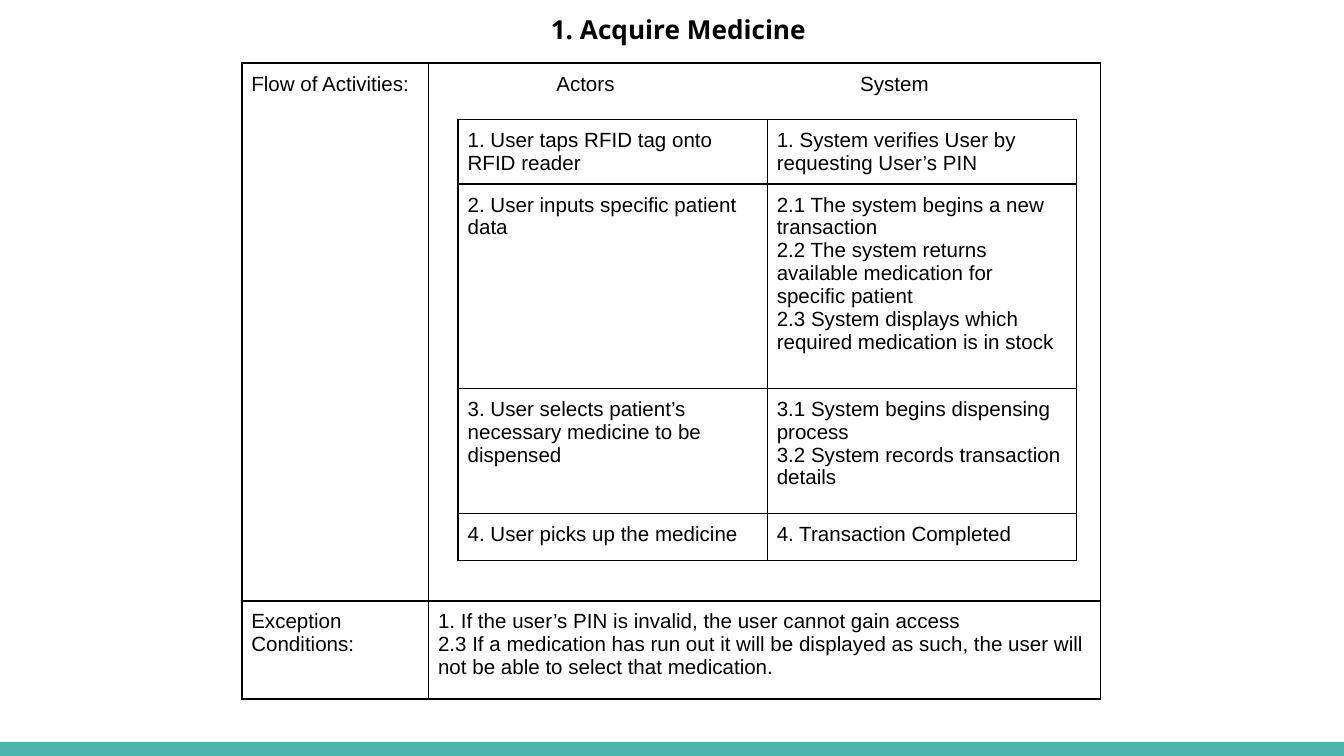
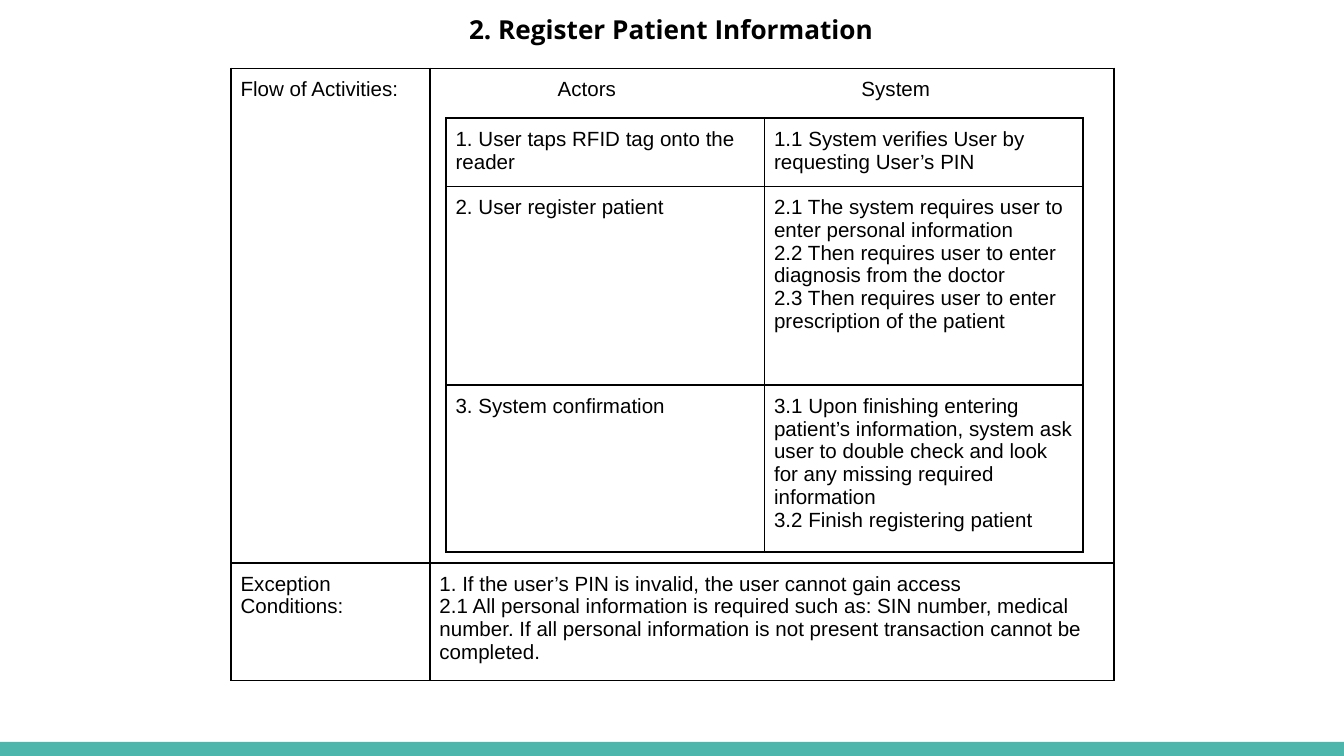
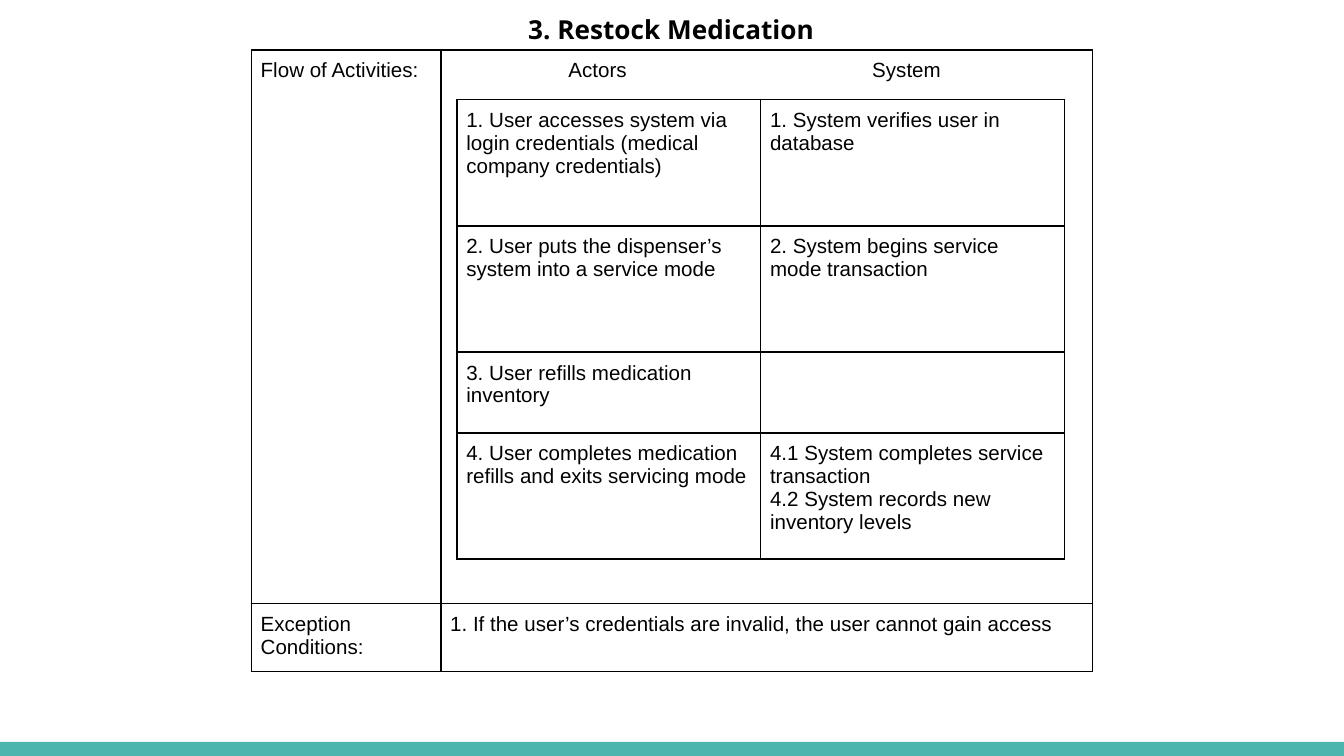
from lxml import etree
from pptx import Presentation
from pptx import util as u
from pptx.dml.color import RGBColor
from pptx.enum import shapes, text
from pptx.oxml import ns

COLOURS = {"ink": "000000", "band": "4DB6AC"}
BODY_FONT, BODY_SIZE = "Arial", 11
TITLE_FONT, TITLE_SIZE = "Open Sans", 14
CELL_INSET = 0.07
BORDER_WIDTH = 1
TABLE_FRAME = 3.28
HEADER = "\tActors\tSystem"
HEADER_STOPS = (0.88, 3.14)

USE_CASES = [
    {
        "title": "1. Acquire Medicine",
        "title_place": (3.5, 2.99),
        "title_indent": 0.5,
        "outline": {"at": (1.8, 0.47), "cols": (1.39, 5), "rows": (4, 0.73)},
        "flow": {"at": (3.41, 0.89), "cols": (2.3, 2.3), "rows": (0.33, 1.52, 0.93, 0.35)},
        "steps": [
            ("1. User taps RFID tag onto RFID reader",
             "1. System verifies User by requesting User’s PIN"),
            ("2. User inputs specific patient data",
             "2.1 The system begins a new transaction\n"
             "2.2 The system returns available medication for specific patient\n"
             "2.3 System displays which required medication is in stock"),
            ("3. User selects patient’s necessary medicine to be dispensed",
             "3.1 System begins dispensing process\n"
             "3.2 System records transaction details"),
            ("4. User picks up the medicine", "4. Transaction Completed"),
        ],
        "exceptions": "1. If the user’s PIN is invalid, the user cannot gain access\n"
                      "2.3 If a medication has run out it will be displayed as such, "
                      "the user will not be able to select that medication.",
    },
    {
        "title": "2. Register Patient Information",
        "title_place": (3.08, 3.83),
        "outline": {"at": (1.72, 0.51), "cols": (1.48, 5.09), "rows": (3.68, 0.83)},
        "flow": {"at": (3.32, 0.88), "cols": (2.37, 2.37), "rows": (0.47, 1.48, 1.14)},
        "steps": [
            ("1. User taps RFID tag onto the reader",
             "1.1 System verifies User by requesting User’s PIN"),
            ("2. User register patient",
             "2.1 The system requires user to enter personal information\n"
             "2.2 Then requires user to enter diagnosis from the doctor\n"
             "2.3 Then requires user to enter prescription of the patient"),
            ("3. System confirmation",
             "3.1 Upon finishing entering patient’s information, system ask user to "
             "double check and look for any missing required information\n"
             "3.2 Finish registering patient"),
        ],
        "exceptions": "1. If the user’s PIN is invalid, the user cannot gain access\n"
                      "2.1 All personal information is required such as: SIN number, "
                      "medical number. If all personal information is not present "
                      "transaction cannot be completed.",
    },
    {
        "title": "3. Restock Medication",
        "title_place": (3.08, 3.83),
        "flow_behind": True,
        "outline": {"at": (1.87, 0.37), "cols": (1.41, 4.85), "rows": (4.12, 0.01)},
        "flow": {"at": (3.4, 0.74), "cols": (2.26, 2.26), "rows": (0.94, 0.94, 0.6, 0.94)},
        "steps": [
            ("1. User accesses system via login credentials (medical company credentials)",
             "1. System verifies user in database"),
            ("2. User puts the dispenser’s system into a service mode",
             "2. System begins service mode transaction"),
            ("3. User refills medication inventory", ""),
            ("4. User completes medication refills and exits servicing mode",
             "4.1 System completes service transaction\n"
             "4.2 System records new inventory levels"),
        ],
        "exceptions": "1. If the user’s credentials are invalid, the user cannot gain access",
    },
]


def colour(name):
    return RGBColor.from_string(COLOURS[name])


def add_borders(cell):
    properties = cell._tc.get_or_add_tcPr()
    for side in ("lnL", "lnR", "lnT", "lnB"):
        line = etree.SubElement(properties, ns.qn(f"a:{side}"), w=str(u.Pt(BORDER_WIDTH)))
        fill = etree.SubElement(line, ns.qn("a:solidFill"))
        etree.SubElement(fill, ns.qn("a:srgbClr"), val=COLOURS["ink"])


def add_tab_stops(para, stops):
    tabs = etree.SubElement(para._p.get_or_add_pPr(), ns.qn("a:tabLst"))
    for stop in stops:
        etree.SubElement(tabs, ns.qn("a:tab"), pos=str(u.Inches(stop)), algn="l")


class Sketch:
    """Holds the deck, its style and the slide being filled."""

    def __init__(self):
        self.deck = Presentation()
        self.deck.slide_width = u.Inches(10)
        self.deck.slide_height = u.Inches(10) * 9 // 16
        self.slide = None

    def new_slide(self):
        self.slide = self.deck.slides.add_slide(self.deck.slide_layouts[6])
        self.band()

    def band(self):
        top = u.Inches(5.52)
        band = self.slide.shapes.add_shape(
            shapes.MSO_SHAPE.RECTANGLE,
            u.Inches(0), top, self.deck.slide_width, self.deck.slide_height - top)
        band.shadow.inherit = False
        band.fill.solid()
        band.fill.fore_color.rgb = colour("band")
        band.line.fill.background()

    def style(self, frame, font, size, bold=False):
        for para in frame.paragraphs:
            for span in para.runs:
                span.font.name = font
                span.font.size = u.Pt(size)
                span.font.bold = bold
                span.font.color.rgb = colour("ink")

    def title(self, words, left, width, indent=None):
        """Centres the title, or starts it at the indent when one is given."""
        box = self.slide.shapes.add_textbox(
            u.Inches(left), u.Inches(0), u.Inches(width), u.Inches(0.58))
        frame = box.text_frame
        frame.word_wrap = True
        frame.margin_left = frame.margin_right = u.Inches(0.1)
        frame.margin_top = frame.margin_bottom = u.Inches(0.1)
        frame.text = words
        para = frame.paragraphs[0]
        if indent is None:
            para.alignment = text.PP_ALIGN.CENTER
        else:
            para._p.get_or_add_pPr().set("marL", str(u.Inches(indent)))
        self.style(frame, TITLE_FONT, TITLE_SIZE, bold=True)

    def table(self, grid, content):
        left, top = grid["at"]
        cols, rows = grid["cols"], grid["rows"]
        holder = self.slide.shapes.add_table(
            len(rows), len(cols), u.Inches(left), u.Inches(top),
            u.Inches(TABLE_FRAME), u.Inches(TABLE_FRAME))
        table = holder.table
        table.first_row = table.horz_banding = False
        for column, width in zip(table.columns, cols):
            column.width = u.Inches(width)
        for row, height, entries in zip(table.rows, rows, content):
            row.height = u.Inches(height)
            for cell, words in zip(row.cells, entries):
                self.fill_cell(cell, words)
        holder.width = holder.height = u.Inches(TABLE_FRAME)

    def fill_cell(self, cell, words):
        cell.margin_left = cell.margin_right = u.Inches(CELL_INSET)
        cell.margin_top = cell.margin_bottom = u.Inches(CELL_INSET)
        add_borders(cell)
        cell.fill.background()
        cell.text_frame.text = words
        if words == HEADER:
            add_tab_stops(cell.text_frame.paragraphs[0], HEADER_STOPS)
        self.style(cell.text_frame, BODY_FONT, BODY_SIZE)

    def use_case(self, case):
        self.new_slide()
        summary = [
            ("Flow of Activities:", HEADER),
            ("Exception Conditions:", case["exceptions"]),
        ]
        tables = [(case["outline"], summary), (case["flow"], case["steps"])]
        if case.get("flow_behind"):
            tables.reverse()
        for grid, content in tables:
            self.table(grid, content)
        self.title(case["title"], *case["title_place"], case.get("title_indent"))


def main():
    sketch = Sketch()
    for case in USE_CASES:
        sketch.use_case(case)
    sketch.deck.save("out.pptx")


if __name__ == "__main__":
    main()
